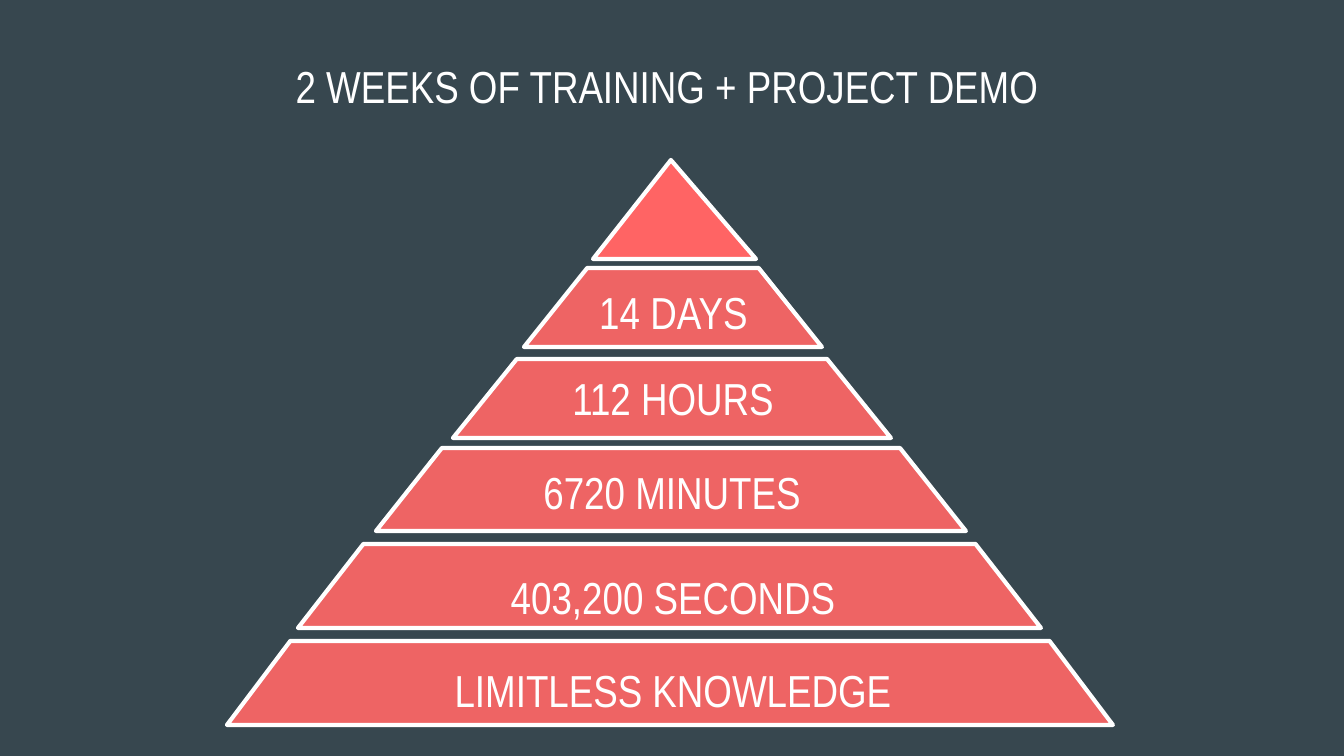
from pptx import Presentation
from pptx.dml.color import RGBColor
from pptx.enum.shapes import MSO_SHAPE
from pptx.enum.text import MSO_ANCHOR, PP_ALIGN
from pptx.util import Emu, Pt

TRAP = MSO_SHAPE.TRAPEZOID
PEAK = MSO_SHAPE.ISOSCELES_TRIANGLE
TOP, MID = MSO_ANCHOR.TOP, MSO_ANCHOR.MIDDLE
CENTER = PP_ALIGN.CENTER

SCALE = 914400 / 134.4
FONT = "Arial Narrow"
COLORS = {"back": "37474F", "tier": "EE6464", "peak": "FF6464", "white": "FFFFFF"}

TIERS = [
    (227, 641, 886, 84, 0.755),
    (298, 544, 743, 84, 0.794 - 0.015),
    (376, 448, 590, 83, 0.794),
    (453, 359, 438, 79, 0.808),
    (524, 268, 298, 79, 0.801),
]
LABELS = [
    ("14 DAYS", 552, 280, 243),
    ("112 HOURS", 524, 366, 298),
    ("6720 MINUTES", 453, 460, 438),
]
BASES = [("403,200 SECONDS", 524), ("LIMITLESS KNOWLEDGE", 617)]


def px(n):
    return Emu(round(n * SCALE))


def color(name):
    return RGBColor.from_string(COLORS[name])


def add_tier(slide, kind, box, adjust, fill):
    shape = slide.shapes.add_shape(kind, *map(px, box))
    shape.adjustments[0] = adjust
    shape.shadow.inherit = False
    shape.fill.solid()
    shape.fill.fore_color.rgb = color(fill)
    shape.line.color.rgb = color("white")
    shape.line.width = Pt(2.25)


def add_text(slide, text, box, anchor=MID, pads=(0, 0, 0, 0), space=1.1):
    frame = slide.shapes.add_textbox(*map(px, box)).text_frame
    frame.word_wrap = True
    frame.vertical_anchor = anchor
    frame.margin_left, frame.margin_top, frame.margin_right, frame.margin_bottom = map(px, pads)
    para = frame.paragraphs[0]
    para.text = text
    para.alignment = CENTER
    para.line_spacing = space
    para.font.name = FONT
    para.font.size = Pt(24)
    para.font.color.rgb = color("white")


def main():
    deck = Presentation()
    deck.slide_width, deck.slide_height = px(1344), px(756)
    slide = deck.slides.add_slide(deck.slide_layouts[6])
    slide.background.fill.solid()
    slide.background.fill.fore_color.rgb = color("back")

    add_text(slide, "2 WEEKS OF TRAINING + PROJECT DEMO", (0, 24, 1344, 169), pads=(0, 0, 10, 51))
    for *box, adjust in TIERS:
        add_tier(slide, TRAP, box, adjust, "tier")
    add_tier(slide, PEAK, (593, 160, 163, 99), 0.478, "peak")
    for text, left, top, width in LABELS:
        add_text(slide, text, (left, top, width, 65), TOP, (9, 5, 9, 5), 1.0)
    for text, top in BASES:
        add_text(slide, text, (180, top, 986, 139))
    deck.save("out.pptx")


if __name__ == "__main__":
    main()
